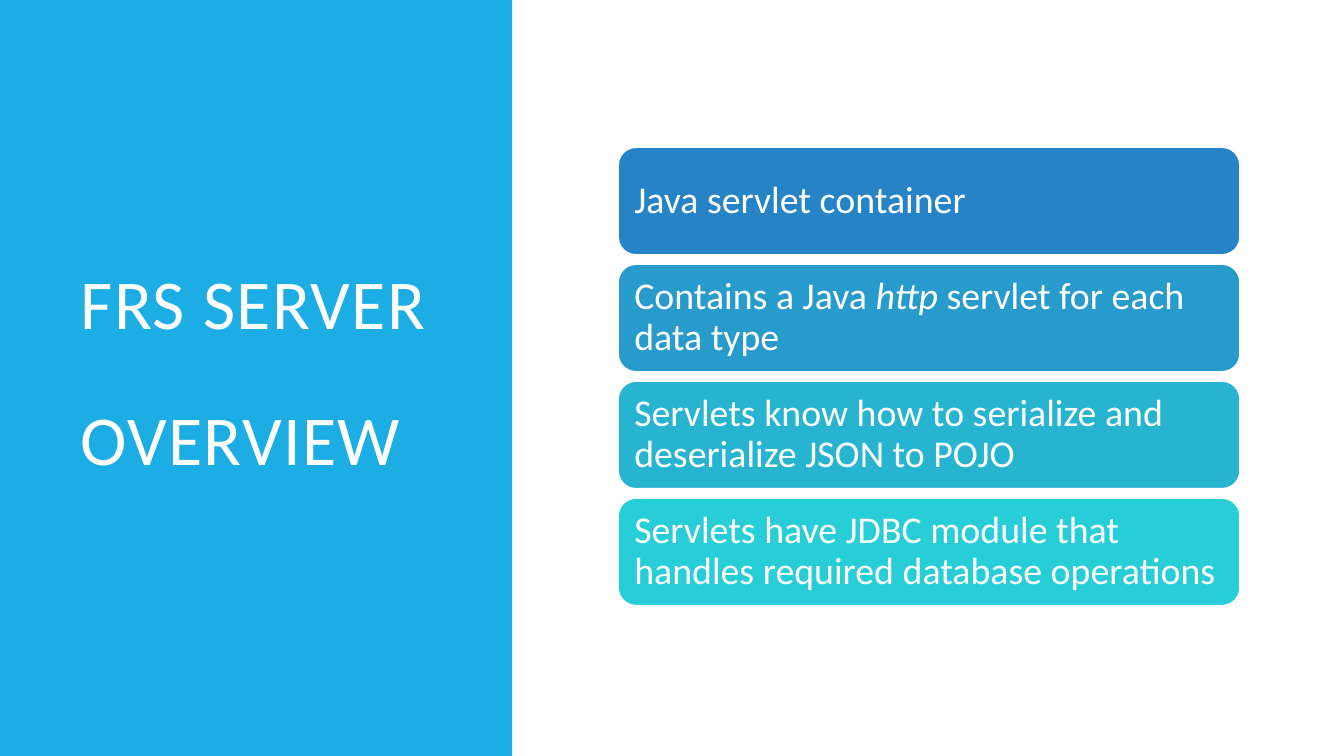
from pptx import Presentation
from pptx.dml.color import RGBColor
from pptx.enum.shapes import MSO_SHAPE
from pptx.enum.text import MSO_ANCHOR, PP_ALIGN
from pptx.util import Inches, Pt

RECT, ROUNDED = MSO_SHAPE.RECTANGLE, MSO_SHAPE.ROUNDED_RECTANGLE
MIDDLE, LEFT = MSO_ANCHOR.MIDDLE, PP_ALIGN.LEFT

TITLE = ["FRS SERVER", "OVERVIEW"]
# Each card: fill, then runs of (text, italic)
CARDS = [
    ("2683C6", [("Java servlet container", False)]),
    ("269BCC", [("Contains a Java ", False), ("http", True),
                (" servlet for each data type", False)]),
    ("27B4D1", [("Servlets know how to serialize and deserialize JSON to POJO", False)]),
    ("27CED7", [("Servlets have JDBC module that handles required database operations", False)]),
]
WHITE, PANEL = "FFFFFF", "1CADE4"
CARD_LEFT, CARD_TOP, CARD_W, CARD_H, CARD_STEP = 6.13, 1.46, 6.17, 1.07, 1.16
TITLE_FORMAT = {"line_spacing": 0.8, "alignment": LEFT}
CARD_FORMAT = {"line_spacing": 0.9, "alignment": LEFT}


def color(value):
    return RGBColor.from_string(value)


def add_box(slide, kind, box, fill):
    sp = slide.shapes.add_shape(kind, *map(Inches, box))
    sp.shadow.inherit = False
    sp.fill.solid()
    sp.fill.fore_color.rgb = color(fill)
    sp.line.fill.background()
    return sp


def set_frame(tf, inset_x, inset_y):
    x, y = Inches(inset_x), Inches(inset_y)
    frame = {"word_wrap": True, "vertical_anchor": MIDDLE, "margin_left": x,
             "margin_right": x, "margin_top": y, "margin_bottom": y}
    for name, value in frame.items():
        setattr(tf, name, value)


def write(p, runs, size, paragraph_format):
    for name, value in paragraph_format.items():
        setattr(p, name, value)
    for text, italic in runs:
        r = p.add_run()
        r.text = text
        for name, value in {"name": "Calibri", "size": Pt(size), "italic": italic}.items():
            setattr(r.font, name, value)
        r.font.color.rgb = color(WHITE)


def add_title(slide):
    tf = slide.shapes.add_textbox(*map(Inches, (0.7, 0.7, 3.74, 6.09))).text_frame
    set_frame(tf, 0.1, 0.05)
    for i, line in enumerate(TITLE):
        p = tf.add_paragraph() if i else tf.paragraphs[0]
        write(p, [(line, False)], 50, TITLE_FORMAT)
        p.space_before = Pt(49 if i else 0)
        for r in p.runs:
            r.font._element.set("spc", "100")


def add_card(slide, index, fill, runs):
    top = CARD_TOP + index * CARD_STEP
    sp = add_box(slide, ROUNDED, (CARD_LEFT, top, CARD_W, CARD_H), fill)
    sp.line.color.rgb = color(WHITE)
    sp.line.width = Pt(1.25)
    set_frame(sp.text_frame, 0.11, 0.11)
    write(sp.text_frame.paragraphs[0], runs, 27, CARD_FORMAT)


def main():
    prs = Presentation()
    prs.slide_width, prs.slide_height = Inches(13.33), Inches(7.5)
    slide = prs.slides.add_slide(prs.slide_layouts[6])
    add_box(slide, RECT, (0, 0, 5.08, 7.5), PANEL)
    add_title(slide)
    for i, (fill, runs) in enumerate(CARDS):
        add_card(slide, i, fill, runs)
    prs.save("out.pptx")


if __name__ == "__main__":
    main()
